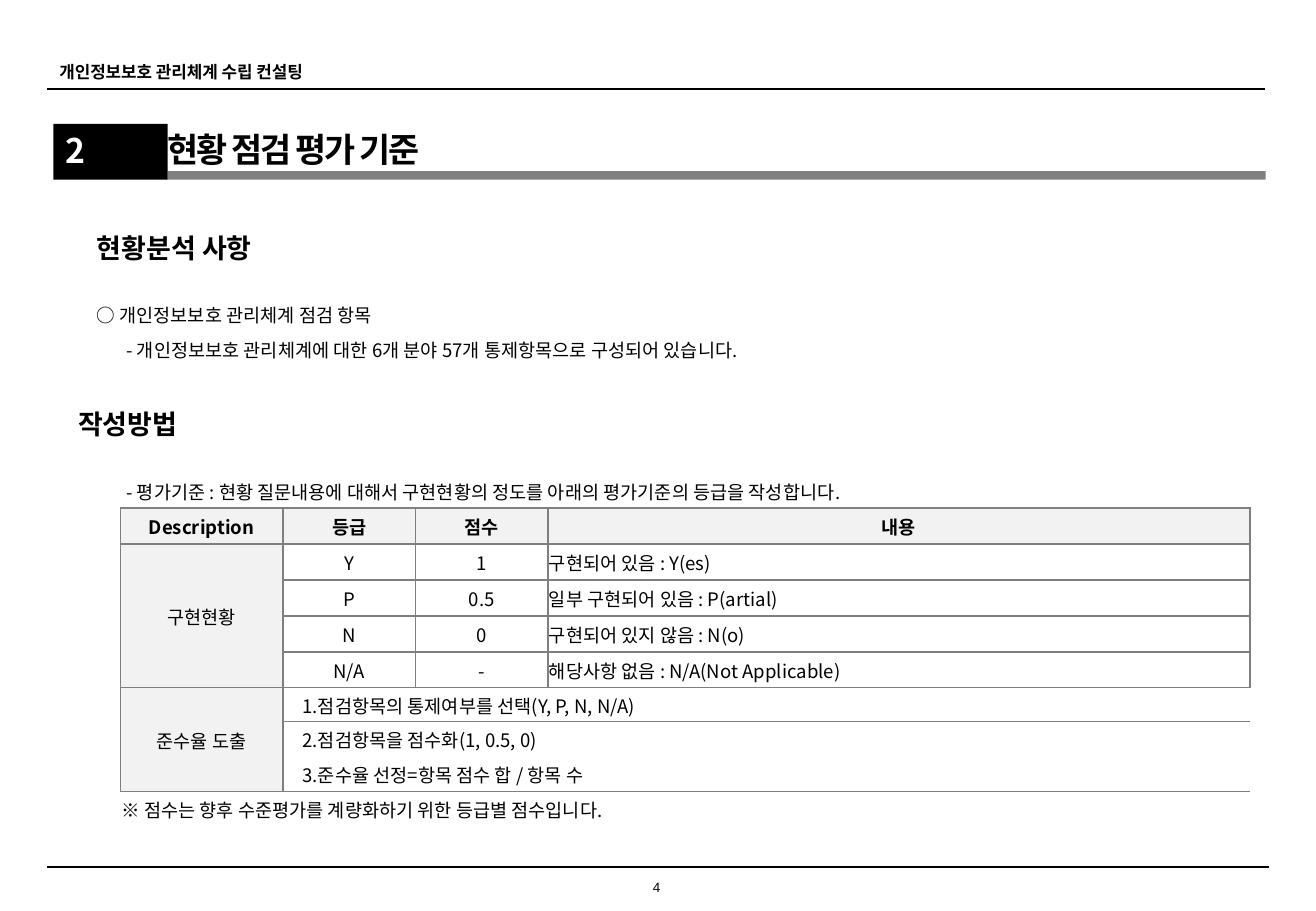
"""Build the assessment criteria slide of a privacy management consulting report."""
from lxml import etree
from pptx import Presentation
from pptx.dml.color import RGBColor
from pptx.enum.shapes import MSO_CONNECTOR, MSO_SHAPE
from pptx.enum.text import MSO_ANCHOR, PP_ALIGN
from pptx.oxml.ns import qn
from pptx.util import Pt

LEFT, CENTER = PP_ALIGN.LEFT, PP_ALIGN.CENTER
TOP, MIDDLE = MSO_ANCHOR.TOP, MSO_ANCHOR.MIDDLE
RECT, STRAIGHT = MSO_SHAPE.RECTANGLE, MSO_CONNECTOR.STRAIGHT

THEME = {
    "font": "Noto Sans CJK KR", "page_font": "Arial",
    "black": "000000", "white": "FFFFFF", "bar": "808080",
    "label": "F2F2F2", "border": "7F7F7F",
    "title": 20, "heading": 16, "body": 11, "header": 10, "page": 8,
}
NO_GRID = "{2D5ABB26-0587-4C30-8999-92F81FD0307C}"

HEADER = "개인정보보호 관리체계 수립 컨설팅"
NUMBER, TITLE, PAGE = "2", "현황 점검 평가 기준", "4"

COLS = [32.4, 96.48, 78.48, 78.48, 416.16]
ROWS = [20.88] * 7 + [21.3] * 6 + [20.16, 20.16, 21.3, 20.16]
GRID_TOP, STEPS_TOP, STEPS_END = 8, 13, 15

# row, column, rows spanned, columns spanned, text, size, bold, alignment, left inset
LINES = [
    (0, 0, 1, 2, "현황분석 사항", "heading", True, CENTER, 0.72),
    (2, 0, 1, 3, "○ 개인정보보호 관리체계 점검 항목", "body", False, LEFT, 18.5),
    (3, 1, 1, 4, "- 개인정보보호 관리체계에 대한 6개 분야 57개 통제항목으로 구성되어 있습니다.",
     "body", False, LEFT, 3.6),
    (5, 0, 1, 2, "작성방법", "heading", True, LEFT, 7.4),
    (7, 1, 1, 4, "- 평가기준 : 현황 질문내용에 대해서 구현현황의 정도를 아래의 평가기준의 등급을 작성합니다.",
     "body", False, LEFT, 3.6),
    (9, 1, 4, 1, "구현현황", "body", False, CENTER, 0.72),
    (13, 1, 3, 1, "준수율 도출", "body", False, CENTER, 0.72),
    (16, 1, 1, 4, "※ 점수는 향후 수준평가를 계량화하기 위한 등급별 점수입니다.",
     "body", False, LEFT, 0.72),
]
HEADINGS = ["Description", "등급", "점수", "내용"]
GRADES = [
    ("Y", "1", "구현되어 있음 : Y(es)"),
    ("P", "0.5", "일부 구현되어 있음 : P(artial)"),
    ("N", "0", "구현되어 있지 않음 : N(o)"),
    ("N/A", "-", "해당사항 없음 : N/A(Not Applicable)"),
]
STEPS = [
    "1.점검항목의 통제여부를 선택(Y, P, N, N/A)",
    "2.점검항목을 점수화(1, 0.5, 0)",
    "3.준수율 선정=항목 점수 합 / 항목 수",
]


def color(name):
    return RGBColor.from_string(THEME[name])


def write(tf, text, size, bold=False, align=LEFT, ink="black", font="font"):
    tf.text = text
    p = tf.paragraphs[0]
    p.alignment = align
    r = p.runs[0]
    r.font.size, r.font.bold = Pt(THEME[size]), bold
    r.font.name, r.font.color.rgb = THEME[font], color(ink)
    etree.SubElement(r.font._element, qn("a:ea"), typeface=THEME[font])
    return r


def set_insets(tf, left, top, right, bottom):
    tf.margin_left, tf.margin_top = Pt(left), Pt(top)
    tf.margin_right, tf.margin_bottom = Pt(right), Pt(bottom)


def add_text(s, box, text, size, insets=(7.2, 3.6, 7.2, 3.6), anchor=TOP, wrap=True, **style):
    tf = s.shapes.add_textbox(*map(Pt, box)).text_frame
    tf.word_wrap, tf.vertical_anchor = wrap, anchor
    set_insets(tf, *insets)
    return write(tf, text, size, **style)


def add_rule(s, y, right, width):
    line = s.shapes.add_connector(STRAIGHT, Pt(28.08), Pt(y), Pt(right), Pt(y))
    line.line.color.rgb, line.line.width = color("black"), Pt(width)
    etree.SubElement(line._element.spPr, qn("a:effectLst"))


def add_block(s, box, fill):
    sp = s.shapes.add_shape(RECT, *map(Pt, box))
    sp.shadow.inherit = False
    sp.fill.solid()
    sp.fill.fore_color.rgb = color(fill)
    sp.line.fill.background()
    return sp


def cell_sides(row, col):
    if col == 0 or not GRID_TOP <= row <= STEPS_END:
        return ""
    if row < STEPS_TOP or col == 1:
        return "LRTB"
    edges = [("L", col == 2), ("R", col == 4), ("T", row == STEPS_TOP), ("B", row == STEPS_END)]
    return "".join(side for side, drawn in edges if drawn)


def style_cell(cell, row, col):
    tc_pr = cell._tc.get_or_add_tcPr()
    for side in cell_sides(row, col):
        ln = etree.SubElement(tc_pr, qn("a:ln" + side), w=str(Pt(1)))
        fill = etree.SubElement(ln, qn("a:solidFill"))
        etree.SubElement(fill, qn("a:srgbClr"), val=THEME["border"])
    label = row == GRID_TOP and col > 0 or col == 1 and GRID_TOP < row <= STEPS_END
    cell.fill.solid()
    cell.fill.fore_color.rgb = color("label" if label else "white")
    cell.vertical_anchor = MIDDLE
    set_insets(cell, 0.72, 0.72, 0.72, 0)
    p = cell.text_frame.paragraphs[0]
    etree.SubElement(p._p, qn("a:endParaRPr"), sz=str(THEME["body"] * 100))


def table_lines():
    lines = list(LINES)
    for col, text in enumerate(HEADINGS, 1):
        lines.append((GRID_TOP, col, 1, 1, text, "body", True, CENTER, 0.72))
    for row, grade in enumerate(GRADES, GRID_TOP + 1):
        for col, text in enumerate(grade, 2):
            align = LEFT if col == 4 else CENTER
            lines.append((row, col, 1, 1, text, "body", False, align, 0.72))
    for row, text in enumerate(STEPS, STEPS_TOP):
        lines.append((row, 2, 1, 3, text, "body", False, LEFT, 11.52))
    return lines


def add_criteria(s):
    frame = s.shapes.add_table(len(ROWS), len(COLS), Pt(38.88), Pt(133.92),
                               Pt(sum(COLS)), Pt(sum(ROWS)))
    table = frame.table
    table.first_row = table.horz_banding = False
    table._tbl.tblPr.find(qn("a:tableStyleId")).text = NO_GRID
    for col, width in enumerate(COLS):
        table.columns[col].width = Pt(width)
    for row, height in enumerate(ROWS):
        table.rows[row].height = Pt(height)
        for col in range(len(COLS)):
            style_cell(table.cell(row, col), row, col)
    for row, col, down, across, text, size, bold, align, inset in table_lines():
        cell = table.cell(row, col)
        if down * across > 1:
            cell.merge(table.cell(row + down - 1, col + across - 1))
        cell.margin_left = Pt(inset)
        write(cell.text_frame, text, size, bold, align)


def main():
    prs = Presentation()
    prs.slide_width, prs.slide_height = Pt(780), Pt(540)
    s = prs.slides.add_slide(prs.slide_layouts[6])
    add_rule(s, 52.56, 749.52, 1.25)
    add_text(s, (28.08, 33.12, 178.56, 19.44), HEADER, "header", bold=True)
    add_text(s, (377.28, 520.56, 23.76, 10.08), PAGE, "page", (0, 0, 0, 0), MIDDLE,
             align=CENTER, font="page_font")
    add_rule(s, 514.08, 752.4, 1)
    add_block(s, (99.36, 101.52, 650.88, 5.04), "bar")
    tf = add_block(s, (31.68, 73.44, 67.68, 33.12), "black").text_frame
    tf.vertical_anchor = TOP
    write(tf, NUMBER, "title", True, ink="white")
    r = add_text(s, (99.36, 74.88, 394.56, 26.64), TITLE, "title", (0, 3.6, 7.2, 3.6),
                 MIDDLE, False, bold=True)
    r.font._element.set("spc", "-120")
    add_criteria(s)
    prs.save("out.pptx")


if __name__ == "__main__":
    main()
